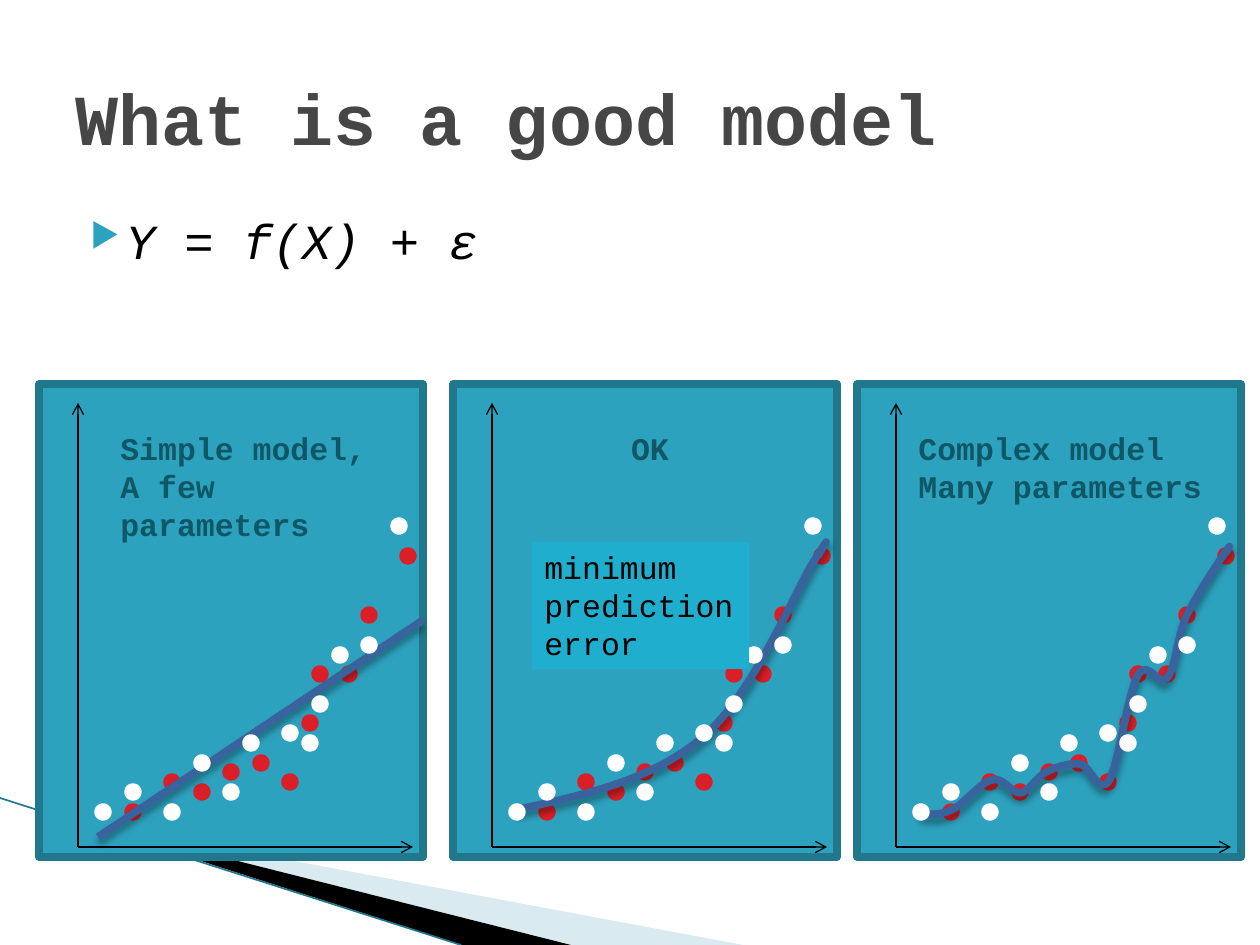
from lxml.etree import SubElement
from pptx import Presentation
from pptx.dml.color import RGBColor
from pptx.enum.shapes import MSO_CONNECTOR, MSO_SHAPE
from pptx.enum.text import MSO_ANCHOR, PP_ALIGN
from pptx.oxml.ns import qn
from pptx.util import Pt

SCALE = 914400 / 126
FONT = "Courier New"
THICK = 4.33

BLACK = RGBColor(0x00, 0x00, 0x00)
WHITE = RGBColor(0xFF, 0xFF, 0xFF)
RED = RGBColor(0xDA, 0x1F, 0x28)
TEAL = RGBColor(0x2D, 0xA2, 0xBF)
DARK_TEAL = RGBColor(0x21, 0x78, 0x8D)
LABEL_TEAL = RGBColor(0x10, 0x57, 0x66)
PALE_BLUE = RGBColor(0xA0, 0xCB, 0xDC)
CALLOUT_BLUE = RGBColor(0x1F, 0xAE, 0xCD)
FIT_BLUE = RGBColor(0x39, 0x63, 0x9D)
TITLE_GREY = RGBColor(0x46, 0x46, 0x46)

PANEL_TOP, PANEL_WIDTH, PANEL_HEIGHT = 384, 384, 473
AXIS_INSET, AXIS_LENGTH = 39, 335
AXIS_TOP, AXIS_BOTTOM = 403, 847
DOT = 10

# Dot centres: x from the left of a panel, y from the top of the slide
RED_DOTS = [(94, 812), (133, 782), (163, 792), (192, 772), (222, 763), (251, 782),
            (271, 723), (281, 674), (310, 674), (330, 615), (369, 556)]
WHITE_DOTS = [(64, 812), (94, 792), (133, 812), (163, 763), (192, 792), (212, 743),
              (251, 733), (271, 743), (281, 704), (301, 655), (330, 645), (360, 526)]

# Start point, then two control points and an end point for each curve segment
OK_FIT = [(515, 810), (585, 795), (653, 780), (703, 737), (753, 695), (795, 591),
          (814, 561), (834, 530), (825, 543), (818, 556)]
COMPLEX_FIT = [(919, 813), (929, 814), (939, 816), (951, 810), (964, 805), (980, 782),
               (992, 780), (1003, 776), (1012, 794), (1021, 793), (1029, 791), (1037, 777),
               (1046, 772), (1056, 767), (1068, 763), (1080, 764), (1090, 765), (1099, 796),
               (1109, 781), (1118, 767), (1128, 693), (1138, 675), (1148, 658), (1159, 688),
               (1167, 678), (1176, 668), (1177, 636), (1187, 615), (1197, 595), (1218, 562),
               (1226, 552), (1232, 542), (1229, 547), (1226, 553)]


def px(*lengths):
    return [round(length * SCALE) for length in lengths]


def set_line(shape, color, width):
    shape.line.color.rgb = color
    shape.line.width = Pt(width)


def add_effects(shape):
    """Give an empty effect list, which removes the theme shadow."""
    return SubElement(shape.element.spPr, qn("a:effectLst"))


def add_soft_shadow(effects):
    shadow = SubElement(effects, qn("a:outerShdw"), blurRad="50800", dist="38100",
                        dir="5400000", rotWithShape="0")
    color = SubElement(shadow, qn("a:srgbClr"), val="000000")
    SubElement(color, qn("a:alpha"), val="35000")


def add_filled(slide, kind, box, fill, line=None):
    shape = slide.shapes.add_shape(kind, *px(*box))
    shape.shadow.inherit = False
    shape.fill.solid()
    shape.fill.fore_color.rgb = fill
    if line is None:
        shape.line.fill.background()
    else:
        set_line(shape, line, THICK)
    return shape


def add_straight(slide, start, end, color, width):
    line = slide.shapes.add_connector(MSO_CONNECTOR.STRAIGHT, *px(*start, *end))
    set_line(line, color, width)
    return line, add_effects(line)


def add_axis(slide, start, end):
    axis, _ = add_straight(slide, start, end, BLACK, 0.75)
    SubElement(axis.element.spPr.find(qn("a:ln")), qn("a:tailEnd"), type="arrow")


def add_outline(slide, points, close):
    builder = slide.shapes.build_freeform(*points[0], scale=SCALE)
    builder.add_line_segments(points[1:], close=close)
    shape = builder.convert_to_shape()
    shape.shadow.inherit = False
    return shape


def add_wedge(slide, points, fill, opacity=100):
    wedge = add_outline(slide, points, True)
    wedge.fill.solid()
    wedge.fill.fore_color.rgb = fill
    wedge.line.fill.background()
    color = wedge.element.spPr.find(qn("a:solidFill")).find(qn("a:srgbClr"))
    SubElement(color, qn("a:alpha"), val=str(opacity * 1000))


def add_curve(slide, points):
    """Turn each three straight segments of an outline into one Bezier segment."""
    curve = add_outline(slide, points, False)
    curve.fill.background()
    set_line(curve, FIT_BLUE, THICK)
    segments = list(curve.element.iter(qn("a:lnTo")))
    outline = segments[0].getparent()
    for first in range(0, len(segments), 3):
        bezier = SubElement(outline, qn("a:cubicBezTo"))
        for segment in segments[first:first + 3]:
            bezier.append(segment[0])
            outline.remove(segment)
    add_soft_shadow(curve.element.spPr.find(qn("a:effectLst")))


def write_lines(frame, lines, size, color, bold=False, italic=False, align=PP_ALIGN.LEFT):
    frame.word_wrap = True
    for index, line in enumerate(lines):
        para = frame.add_paragraph() if index else frame.paragraphs[0]
        para.alignment = align
        span = para.add_run()
        span.text = line
        span.font.name = FONT
        span.font.size = Pt(size)
        span.font.bold = bold
        span.font.italic = italic
        span.font.color.rgb = color


def add_text(slide, box, lines, size, color, **style):
    frame = slide.shapes.add_textbox(*px(*box)).text_frame
    write_lines(frame, lines, size, color, **style)
    return frame


def add_bullet(para):
    para.space_before = Pt(4)
    properties = para._p.get_or_add_pPr()
    properties.set("marL", "365760")
    properties.set("indent", "-256032")
    color = SubElement(properties, qn("a:buClr"))
    SubElement(color, qn("a:srgbClr"), val=str(TEAL))
    SubElement(properties, qn("a:buSzPct"), val="68000")
    SubElement(properties, qn("a:buChar"), char="▶")


def set_title(slide):
    title = slide.shapes.title
    title.left, title.top, title.width, title.height = px(63, 38, 1134, 158)
    title.text_frame.vertical_anchor = MSO_ANCHOR.MIDDLE
    write_lines(title.text_frame, ["What is a good model"], 41, TITLE_GREY, bold=True)


def add_dots(slide, left, centres, color):
    for x, y in centres:
        box = (left + x - DOT / 2, y - DOT / 2, DOT, DOT)
        add_filled(slide, MSO_SHAPE.OVAL, box, color, color)


def add_panel(slide, left):
    add_filled(slide, MSO_SHAPE.RECTANGLE, (left, PANEL_TOP, PANEL_WIDTH, PANEL_HEIGHT),
               TEAL, DARK_TEAL)
    origin = (left + AXIS_INSET, AXIS_BOTTOM)
    add_axis(slide, origin, (origin[0], AXIS_TOP))
    add_axis(slide, origin, (origin[0] + AXIS_LENGTH, AXIS_BOTTOM))
    add_dots(slide, left, RED_DOTS, RED)


def main():
    deck = Presentation()
    deck.slide_width, deck.slide_height = px(1260, 945)
    slide = deck.slides.add_slide(deck.slide_layouts[5])

    add_wedge(slide, [(69, 819), (743, 945), (572, 945)], PALE_BLUE, 40)
    add_wedge(slide, [(67, 818), (571, 945), (462, 945)], BLACK)
    add_straight(slide, (0, 798), (461, 945), DARK_TEAL, 0.95)
    set_title(slide)
    formula = add_text(slide, (63, 204, 1134, 624), ["Y = f(X) + ε"], 28, BLACK, italic=True)
    add_bullet(formula.paragraphs[0])

    panels = [
        (39, [(98, 837), (423, 620)], (108, 423, 276, 127),
         ["Simple model,", "A few parameters"], PP_ALIGN.LEFT),
        (453, OK_FIT, (512, 423, 276, 50), ["OK"], PP_ALIGN.CENTER),
        (857, COMPLEX_FIT, (906, 423, 315, 89),
         ["Complex model", "Many parameters"], PP_ALIGN.LEFT),
    ]
    for left, fit, label_box, label, align in panels:
        add_panel(slide, left)
        if len(fit) == 2:
            add_soft_shadow(add_straight(slide, *fit, FIT_BLUE, THICK)[1])
        else:
            add_curve(slide, fit)
        add_text(slide, label_box, label, 18, LABEL_TEAL, bold=True, align=align)
        add_dots(slide, left, WHITE_DOTS, WHITE)

    callout = add_filled(slide, MSO_SHAPE.RECTANGLE, (532, 542, 217, 127), CALLOUT_BLUE)
    callout.text_frame.vertical_anchor = MSO_ANCHOR.TOP
    write_lines(callout.text_frame, ["minimum", "prediction error"], 18, BLACK)
    deck.save("out.pptx")


if __name__ == "__main__":
    main()
